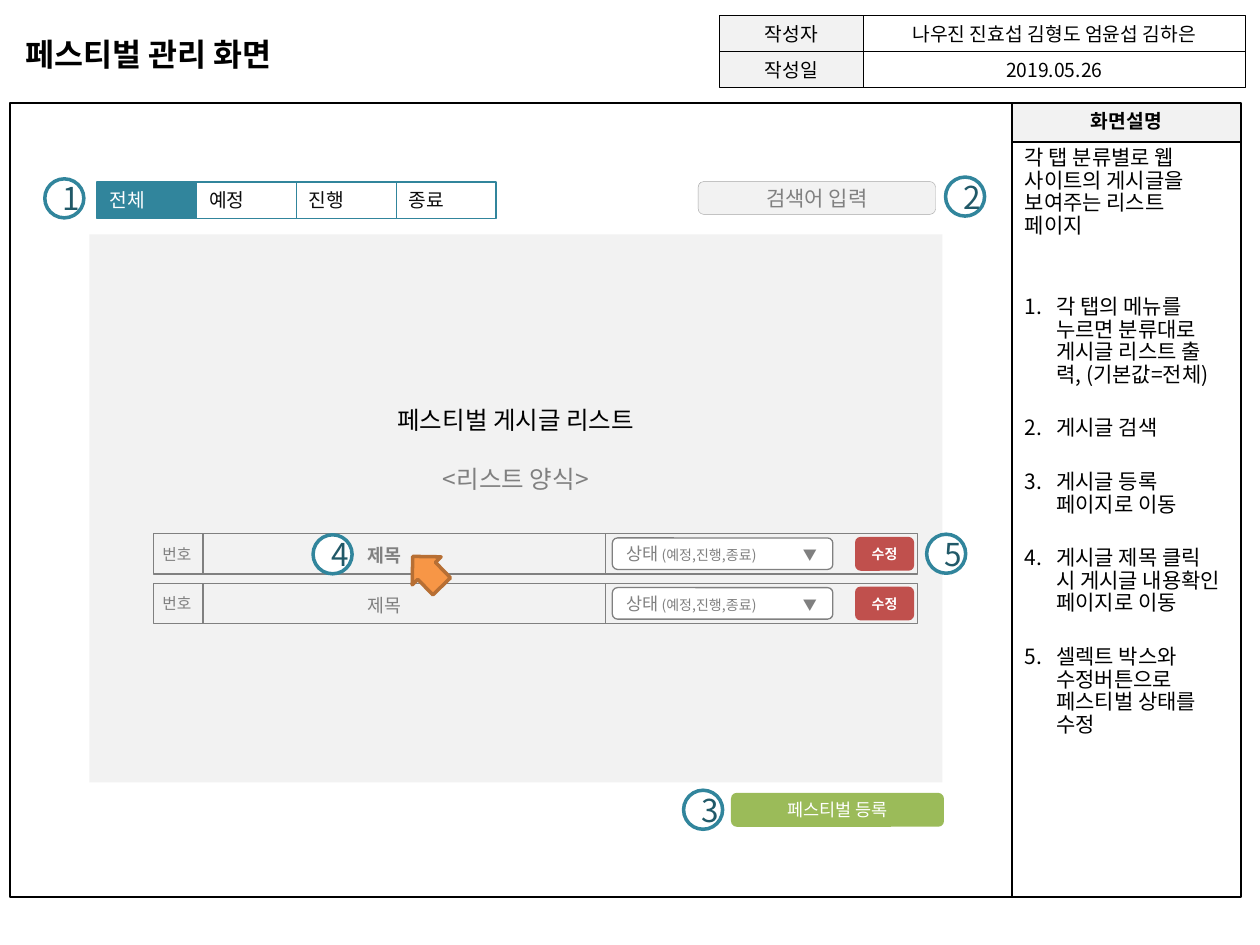
from dataclasses import dataclass

from lxml.etree import SubElement
from pptx import Presentation
from pptx.dml.color import RGBColor
from pptx.enum.shapes import MSO_CONNECTOR, MSO_SHAPE
from pptx.enum.text import MSO_ANCHOR, MSO_AUTO_SIZE, PP_ALIGN
from pptx.oxml.ns import qn
from pptx.util import Pt


@dataclass(frozen=True)
class Theme:
    font: str = "Noto Sans CJK KR"
    head: str = "Arial"
    black: str = "000000"
    ink: str = "0D0D0D"
    white: str = "FFFFFF"
    pale: str = "F2F2F2"
    edge: str = "A6A6A6"
    gray: str = "808080"
    teal: str = "31859C"
    deep: str = "215968"
    red: str = "C0504D"
    green: str = "9BBB59"
    gold: str = "F79646"
    rust: str = "B76F34"
    big: float = 18
    mid: float = 14
    note: float = 12
    base: float = 11
    name: float = 10.5
    small: float = 10
    cell: float = 9
    tiny: float = 8


T = Theme()
LEFT, MID = PP_ALIGN.LEFT, PP_ALIGN.CENTER
RECT, ROUND, OVAL = MSO_SHAPE.RECTANGLE, MSO_SHAPE.ROUNDED_RECTANGLE, MSO_SHAPE.OVAL


def write(para, text, size=T.base, color=T.black, bold=False, align=MID, font=T.font):
    """Add one formatted run to a paragraph."""
    para.alignment = align
    run = para.add_run()
    run.text = text
    run.font.size = Pt(size)
    run.font.bold = bold
    run.font.name = font
    run.font.color.rgb = RGBColor.from_string(color)
    SubElement(run.font._element, qn("a:ea"), typeface=T.font)


def place(shape, x, y, w, h):
    shape.left, shape.top, shape.width, shape.height = Pt(x), Pt(y), Pt(w), Pt(h)


def stroke(line, color, width):
    line.color.rgb = RGBColor.from_string(color)
    line.width = Pt(width)


def box(slide, kind, area, fill=None, line=None, width=0.75, text="",
        anchor=MSO_ANCHOR.MIDDLE, **form):
    shape = slide.shapes.add_shape(kind, *map(Pt, area))
    shape.shadow.inherit = False
    if fill:
        shape.fill.solid()
        shape.fill.fore_color.rgb = RGBColor.from_string(fill)
    else:
        shape.fill.background()
    if line:
        stroke(shape.line, line, width)
    else:
        shape.line.fill.background()
    frame = shape.text_frame
    frame.word_wrap = True
    frame.vertical_anchor = anchor
    if text:
        write(frame.paragraphs[0], text, **form)
    return shape


def label(slide, area, text, **form):
    frame = slide.shapes.add_textbox(*map(Pt, area)).text_frame
    frame.word_wrap = True
    write(frame.paragraphs[0], text, align=LEFT, **form)


def rule(slide, x, top, end):
    line = slide.shapes.add_connector(MSO_CONNECTOR.STRAIGHT, Pt(x), Pt(top), Pt(x), Pt(end))
    stroke(line.line, T.gray, 0.75)
    SubElement(line._element.spPr, qn("a:effectLst"))


def badge(slide, x, y, num):
    box(slide, OVAL, (x, y, 22.3, 22.3), T.white, T.teal, 2, str(num),
        size=T.big, color=T.deep)


def title(slide):
    shape = slide.shapes.title
    place(shape, 7.2, 16.6, 220, 29)
    frame = shape.text_frame
    frame.auto_size = MSO_AUTO_SIZE.NONE
    frame.vertical_anchor = MSO_ANCHOR.TOP
    write(frame.paragraphs[0], "페스티벌 관리 화면", size=T.big, bold=True, align=LEFT)


def notes(slide):
    shape = slide.placeholders[1]
    place(shape, 578.4, 79.9, 130.6, 432.7)
    stroke(shape.line, T.black, 1)
    frame = shape.text_frame
    frame.auto_size = MSO_AUTO_SIZE.NONE
    frame.margin_top = frame.margin_bottom = Pt(4.3)
    frame.margin_right = Pt(10.2)
    items = ["각 탭 분류별로 웹 사이트의 게시글을 보여주는 리스트 페이지",
             "각 탭의 메뉴를 누르면 분류대로 게시글 리스트 출력, (기본값=전체)",
             "게시글 검색",
             "게시글 등록 페이지로 이동",
             "게시글 제목 클릭 시 게시글 내용확인 페이지로 이동",
             "셀렉트 박스와 수정버튼으로 페스티벌 상태를 수정"]
    for i, text in enumerate(items):
        para = frame.paragraphs[0] if i == 0 else frame.add_paragraph()
        props = para._p.get_or_add_pPr()
        # The lead has no number; the items after it hang by 18 pt
        hang = Pt(18) if i else 0
        props.set("marL", str(hang))
        props.set("indent", str(-hang))
        props.set("hangingPunct", "0")
        if i:
            SubElement(props, qn("a:buAutoNum"), type="arabicPeriod")
        else:
            SubElement(props, qn("a:buNone"))
        para.line_spacing = 0.9
        para.space_before = Pt((0, 33.3)[i] if i < 2 else 17.6)
        write(para, text, size=T.note, align=LEFT)
    head = box(slide, RECT, (578.4, 59, 130.6, 22.3), T.pale, T.black, 1,
               "화면설명", bold=True, font=T.head)
    head.text_frame.word_wrap = False
    head.text_frame.margin_bottom = Pt(6)


def info(slide):
    rows = [("작성자", "나우진 진효섭 김형도 엄윤섭 김하은"), ("작성일", "2019.05.26")]
    for i, (key, value) in enumerate(rows):
        y = 9 + i * 20.6
        for x, w, fill, text in ((411.2, 82.2, T.pale, key), (493.4, 218.2, None, value)):
            box(slide, RECT, (x, y, w, 20.6), fill, T.black, text=text,
                anchor=MSO_ANCHOR.TOP)


def panel(slide):
    shape = box(slide, RECT, (51.1, 133.9, 487.4, 313.2), T.pale,
                text="페스티벌 게시글 리스트", size=T.mid)
    frame = shape.text_frame
    frame.margin_bottom = Pt(71)
    para = frame.add_paragraph()
    para.space_before = Pt(17)
    write(para, "<리스트 양식>", size=T.mid, color=T.gray)


def tabs(slide):
    for i, text in enumerate(["전체", "예정", "진행", "종료"]):
        fill, color = (T.teal, T.white) if i == 0 else (T.white, T.ink)
        box(slide, RECT, (55.4 + i * 57, 104.1, 57, 20.7), fill, T.teal,
            text=text, color=color, align=LEFT, anchor=MSO_ANCHOR.TOP)


def row(slide, y, bold):
    for x in (116, 346):
        rule(slide, x, y, y + 23)
    box(slide, RECT, (87.8, y, 436.5, 23), line=T.gray)
    box(slide, ROUND, (488.6, y + 1.8, 33.8, 19.4), T.red, text="수정",
        size=T.tiny, color=T.white, bold=True)
    label(slide, (85.7, y + 2.6, 36, 18), "번호", size=T.cell, color=T.gray)
    label(slide, (203.2, y + 2.6, 35.5, 20), "제목", size=T.name, color=T.gray, bold=bold)
    # Select box: a tab stop sets its arrow
    pick = box(slide, ROUND, (349.9, y + 2.4, 126, 18), T.white, T.gray)
    para = pick.text_frame.paragraphs[0]
    stops = SubElement(para._p.get_or_add_pPr(), qn("a:tabLst"))
    SubElement(stops, qn("a:tab"), pos=str(Pt(101)), algn="l")
    write(para, "상태", size=T.small, color=T.gray, align=LEFT)
    write(para, " (예정,진행,종료)\t▼", size=T.tiny, color=T.gray, align=LEFT)


def main():
    deck = Presentation()
    deck.slide_width, deck.slide_height = Pt(720), Pt(540)
    slide = deck.slides.add_slide(deck.slide_layouts[1])

    # Page frame, heading and notes
    title(slide)
    notes(slide)
    box(slide, RECT, (5.8, 59, 572.6, 453.6), T.white, T.black, 1)
    info(slide)

    # Screen mock-up
    panel(slide)
    tabs(slide)
    box(slide, ROUND, (399, 103.8, 135.6, 18.7), T.pale, T.edge, 0.25,
        "검색어 입력", size=T.note, color=T.gray)
    for i in range(2):
        row(slide, 305 + i * 28.4, bold=i == 0)
    box(slide, ROUND, (417.7, 453.1, 121.7, 19.4), T.green, text="페스티벌 등록",
        size=T.small, color=T.white)

    # Numbered marks and pointer
    spots = [(25.6, 102.2), (540.3, 101.2), (390.6, 451.6), (178.9, 305.6), (529.5, 305.3)]
    for num, (x, y) in enumerate(spots, 1):
        badge(slide, x, y, num)
    hand = box(slide, MSO_SHAPE.UP_ARROW, (232.6, 314.6, 23, 23.8), T.gold, T.rust, 2)
    hand.adjustments[0], hand.adjustments[1] = 0.61, 0.5
    hand.rotation = 315.9

    deck.save("out.pptx")


if __name__ == "__main__":
    main()
